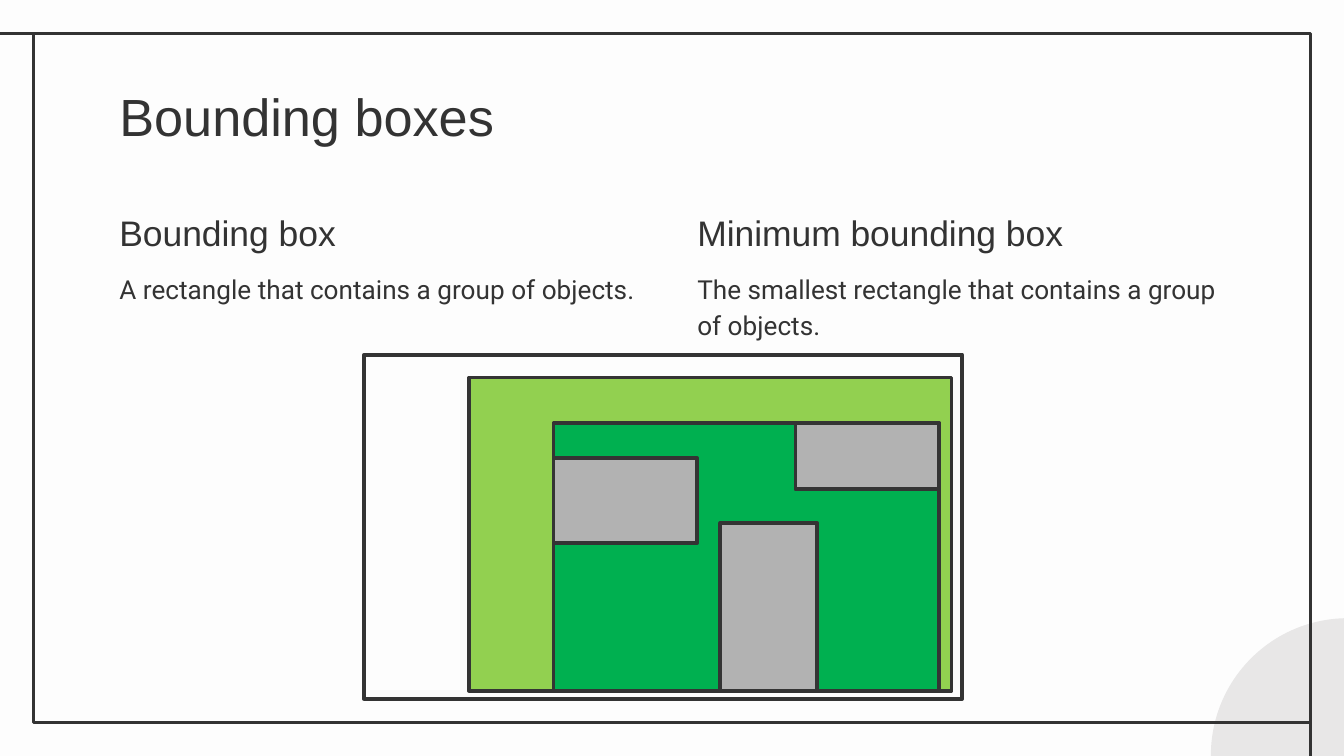
from pptx import Presentation
from pptx.dml.color import RGBColor
from pptx.enum.shapes import MSO_CONNECTOR, MSO_SHAPE
from pptx.enum.text import MSO_ANCHOR
from pptx.oxml.ns import qn
from pptx.util import Pt
from lxml.etree import SubElement

# Content
TITLE = "Bounding boxes"
DEFINITIONS = [
    ("Bounding box", "A rectangle that contains a group of objects."),
    ("Minimum bounding box", "The smallest rectangle that contains a group of objects."),
]
# Left, top, right, bottom
OBJECTS = [
    (296.6, 245.5, 373.6, 290.9),
    (385.9, 280.1, 437.7, 370.1),
    (426.2, 226.8, 503.2, 262.1),
]
LOOSE_BOXES = [
    ("paper", (195, 190, 515.5, 374.4)),
    ("light_green", (251.3, 202.3, 509.8, 370.1)),
]
COLORS = {
    "paper": "FDFDFD",
    "ink": "333333",
    "outline": "343434",
    "circle": "E8E7E7",
    "light_green": "92D050",
    "green": "00B050",
    "object": "B2B2B2",
}

# Layout
WIDTH, HEIGHT = 720, 405
MARGIN, OVERHANG = 18, 6
RIGHT, BOTTOM = WIDTH - MARGIN, HEIGHT - MARGIN
COLUMN_LEFT, COLUMN_STEP, COLUMN_WIDTH = 56.9, 309.6, 297.4
INSET = 7.2


def rgb(name):
    return RGBColor.from_string(COLORS[name])


def add_figure(slide, kind, edges, fill=None, line=None, weight=2):
    left, top, right, bottom = edges
    figure = slide.shapes.add_shape(
        kind, Pt(left), Pt(top), Pt(right - left), Pt(bottom - top))
    figure.shadow.inherit = False
    if fill:
        figure.fill.solid()
        figure.fill.fore_color.rgb = rgb(fill)
    else:
        figure.fill.background()
    if line:
        figure.line.color.rgb = rgb(line)
        figure.line.width = Pt(weight)
    else:
        figure.line.fill.background()


def add_rule(slide, start, end):
    rule = slide.shapes.add_connector(
        MSO_CONNECTOR.STRAIGHT, *(Pt(value) for value in start + end))
    rule.line.color.rgb = rgb("ink")
    rule.line.width = Pt(1.5)
    SubElement(rule._element.spPr, qn("a:effectLst"))


def add_text(slide, text, left, top, width, height, font, size,
             anchor=MSO_ANCHOR.TOP, spacing=1.15, top_inset=INSET):
    box = slide.shapes.add_textbox(Pt(left), Pt(top), Pt(width), Pt(height))
    frame = box.text_frame
    frame.word_wrap = True
    frame.vertical_anchor = anchor
    frame.margin_left = frame.margin_right = frame.margin_bottom = Pt(INSET)
    frame.margin_top = Pt(top_inset)
    frame.text = text
    paragraph = frame.paragraphs[0]
    paragraph.line_spacing = spacing
    run_font = paragraph.runs[0].font
    run_font.name, run_font.size = font, Pt(size)
    run_font.color.rgb = rgb("ink")


def minimum_bounding_box(boxes):
    lefts, tops, rights, bottoms = zip(*boxes)
    return min(lefts), min(tops), max(rights), max(bottoms)


def main():
    deck = Presentation()
    deck.slide_width, deck.slide_height = Pt(WIDTH), Pt(HEIGHT)
    slide = deck.slides.add_slide(deck.slide_layouts[6])
    slide.background.fill.solid()
    slide.background.fill.fore_color.rgb = rgb("paper")

    # Corner circle and page frame
    add_figure(slide, MSO_SHAPE.OVAL, (648.7, 331.2, 795.6, 478.1), "circle")
    add_figure(slide, MSO_SHAPE.RECTANGLE, (MARGIN, MARGIN, RIGHT, BOTTOM),
               line="ink", weight=1.5)
    add_rule(slide, (MARGIN, MARGIN), (-OVERHANG, MARGIN))
    add_rule(slide, (RIGHT, BOTTOM), (RIGHT, HEIGHT + OVERHANG))

    # Title and two definitions
    add_text(slide, TITLE, COLUMN_LEFT, 35.3, 607, 45.4, "Arial", 28,
             spacing=1, top_inset=10)
    for column, (term, meaning) in enumerate(DEFINITIONS):
        left = COLUMN_LEFT + column * COLUMN_STEP
        add_text(slide, meaning, left, 136.8, COLUMN_WIDTH, 215.3, "Roboto", 14)
        add_text(slide, term, left, 114.5, COLUMN_WIDTH, 28.8, "Arial", 19,
                 anchor=MSO_ANCHOR.BOTTOM)

    # Nested bounding boxes, then the objects they contain
    nested = LOOSE_BOXES + [("green", minimum_bounding_box(OBJECTS))]
    for fill, edges in nested + [("object", edges) for edges in OBJECTS]:
        add_figure(slide, MSO_SHAPE.RECTANGLE, edges, fill, "outline")

    deck.save("out.pptx")


if __name__ == "__main__":
    main()
